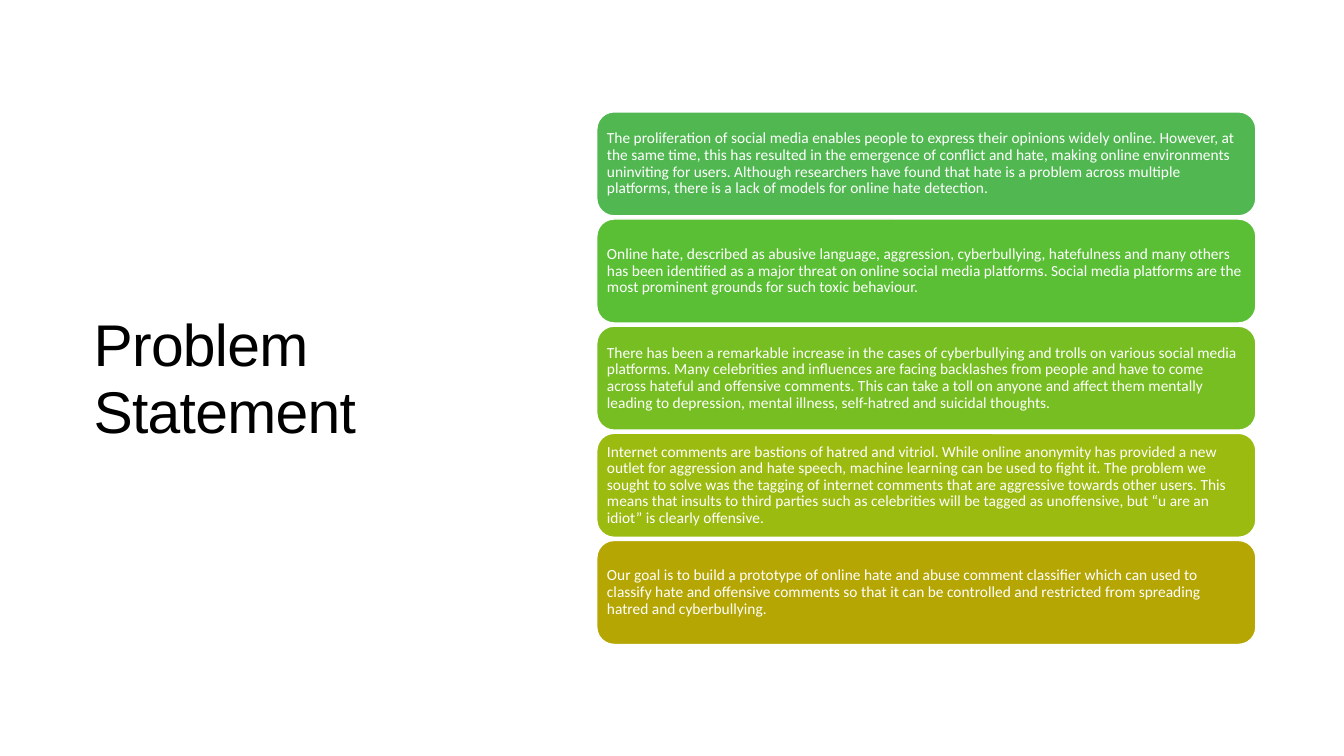
from dataclasses import dataclass

from pptx import Presentation
from pptx.dml.color import RGBColor
from pptx.enum.shapes import MSO_SHAPE
from pptx.enum.text import MSO_ANCHOR, PP_ALIGN
from pptx.util import Cm, Pt

TITLE = "Problem Statement"
STATEMENTS = [
    ("51B851", "The proliferation of social media enables people to express their opinions widely online. "
     "However, at the same time, this has resulted in the emergence of conflict and hate, making online "
     "environments uninviting for users. Although researchers have found that hate is a problem across "
     "multiple platforms, there is a lack of models for online hate detection."),
    ("5BBF36", "Online hate, described as abusive language, aggression, cyberbullying, hatefulness and many "
     "others has been identified as a major threat on online social media platforms. Social media platforms "
     "are the most prominent grounds for such toxic behaviour."),
    ("77BE22", "There has been a remarkable increase in the cases of cyberbullying and trolls on various social "
     "media platforms. Many celebrities and influences are facing backlashes from people and have to come "
     "across hateful and offensive comments. This can take a toll on anyone and affect them mentally leading "
     "to depression, mental illness, self-hatred and suicidal thoughts."),
    ("9BBB11", "Internet comments are bastions of hatred and vitriol. While online anonymity has provided a new "
     "outlet for aggression and hate speech, machine learning can be used to fight it. The problem we sought "
     "to solve was the tagging of internet comments that are aggressive towards other users. This means that "
     "insults to third parties such as celebrities will be tagged as unoffensive, but “u are an idiot” is "
     "clearly offensive."),
    ("B5A603", "Our goal is to build a prototype of online hate and abuse comment classifier which can used to "
     "classify hate and offensive comments so that it can be controlled and restricted from spreading hatred "
     "and cyberbullying."),
]


@dataclass(frozen=True)
class Theme:
    title_font: str = "Arial"
    title_size: float = 42
    title_color: str = "000000"
    card_font: str = "Calibri"
    card_size: float = 11
    card_text: str = "FFFFFF"
    card_line: str = "FFFFFF"


THEME = Theme()
CARD_LEFT, CARD_TOP = 15.04, 2.82
CARD_WIDTH, CARD_HEIGHT = 16.61, 2.62
CARD_PITCH = 2.7
CARD_INSET = Cm(0.13)


def write(shape, text, font, size, color, line_spacing):
    """Fill a shape with one left-aligned, vertically centred paragraph."""
    frame = shape.text_frame
    frame.text = text
    frame.word_wrap = True
    frame.vertical_anchor = MSO_ANCHOR.MIDDLE
    para = frame.paragraphs[0]
    para.alignment = PP_ALIGN.LEFT
    para.line_spacing = line_spacing
    span = para.runs[0]
    span.font.name = font
    span.font.size = Pt(size)
    span.font.color.rgb = RGBColor.from_string(color)
    return span


def add_title(page):
    box = page.shapes.add_textbox(Cm(2.11), Cm(2.16), Cm(10.85), Cm(14.83))
    span = write(box, TITLE, THEME.title_font, THEME.title_size, THEME.title_color, 0.95)
    span.font._element.set("spc", "-50")


def add_card(page, index, fill, text):
    card = page.shapes.add_shape(
        MSO_SHAPE.ROUNDED_RECTANGLE,
        Cm(CARD_LEFT), Cm(CARD_TOP + index * CARD_PITCH), Cm(CARD_WIDTH), Cm(CARD_HEIGHT))
    card.shadow.inherit = False
    card.fill.solid()
    card.fill.fore_color.rgb = RGBColor.from_string(fill)
    card.line.color.rgb = RGBColor.from_string(THEME.card_line)
    card.line.width = Pt(1)
    frame = card.text_frame
    frame.margin_left = frame.margin_right = CARD_INSET
    frame.margin_top = frame.margin_bottom = CARD_INSET
    write(card, text, THEME.card_font, THEME.card_size, THEME.card_text, 0.9)


def main():
    deck = Presentation()
    deck.slide_width, deck.slide_height = Cm(33.87), Cm(19.05)
    page = deck.slides.add_slide(deck.slide_layouts[6])
    add_title(page)
    for index, (fill, text) in enumerate(STATEMENTS):
        add_card(page, index, fill, text)
    deck.save("out.pptx")


if __name__ == "__main__":
    main()
